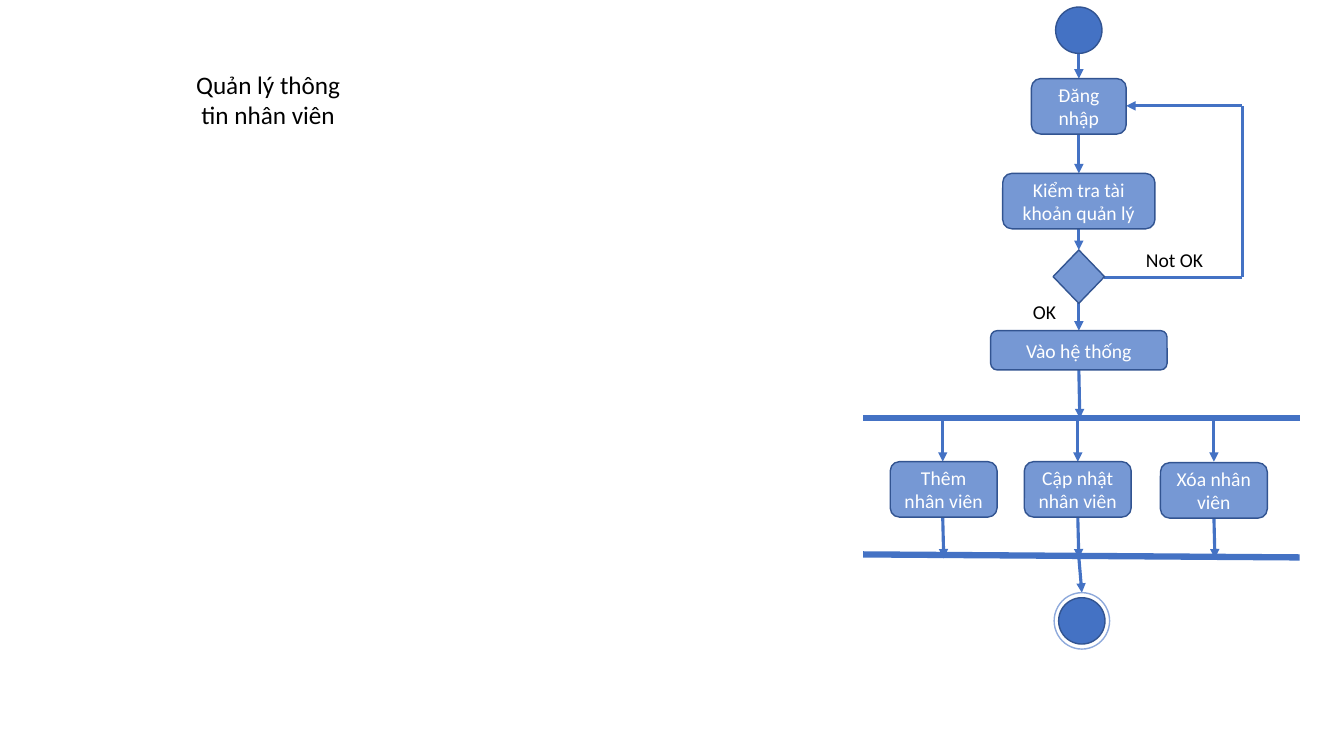
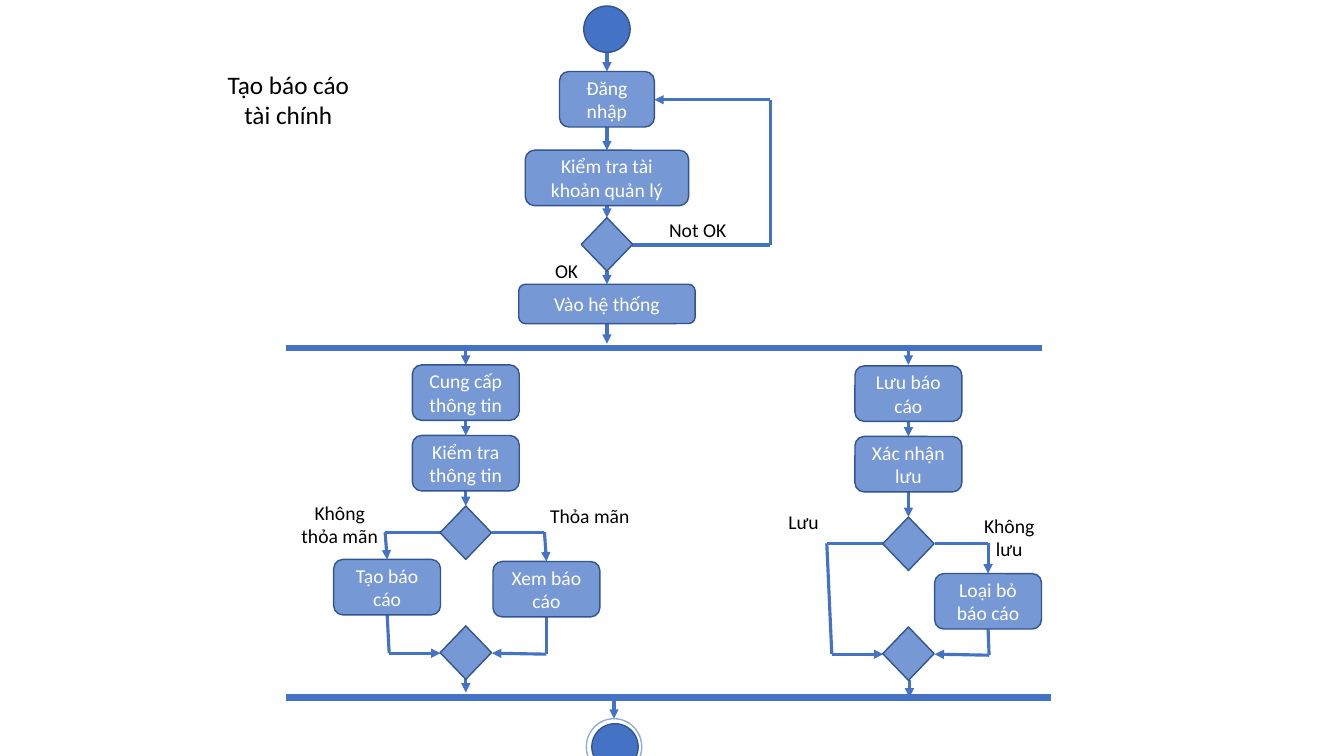
from itertools import pairwise

from lxml import etree
from pptx import Presentation
from pptx.dml.color import RGBColor
from pptx.enum.shapes import MSO_CONNECTOR, MSO_SHAPE
from pptx.enum.text import MSO_ANCHOR, MSO_AUTO_SIZE, PP_ALIGN
from pptx.oxml.ns import qn
from pptx.util import Inches, Pt

STRAIGHT = MSO_CONNECTOR.STRAIGHT
ROUNDED = MSO_SHAPE.ROUNDED_RECTANGLE
DECISION = MSO_SHAPE.FLOWCHART_DECISION
OVAL = MSO_SHAPE.OVAL
MIDDLE = MSO_ANCHOR.MIDDLE
CENTER = PP_ALIGN.CENTER
FIXED = MSO_AUTO_SIZE.NONE
TITLE_ONLY = 5

COLS, ROWS = 13.33, 7.5
THEME = {
    "font": "Calibri", "title": 18, "text": 14,
    "ink": RGBColor.from_string("000000"),
    "paper": RGBColor.from_string("FFFFFF"),
    "node": RGBColor.from_string("7698D4"),
    "accent": RGBColor.from_string("4472C4"),
    "edge": RGBColor.from_string("325491"),
    "halo": RGBColor.from_string("8FAADC"),
    "outline": 1, "flow": 2.25, "bar": 4.5,
}
STYLES = {
    "login": (ROUNDED, 0.94, 0.55, "node", "edge"),
    "check": (ROUNDED, 1.51, 0.55, "node", "edge"),
    "check wide": (ROUNDED, 1.62, 0.55, "node", "edge"),
    "enter": (ROUNDED, 1.75, 0.39, "node", "edge"),
    "task": (ROUNDED, 1.06, 0.55, "node", "edge"),
    "choice": (DECISION, 0.51, 0.53, "node", "edge"),
    "dot": (OVAL, 0.46, 0.46, "accent", "edge"),
    "ring": (OVAL, 0.55, 0.56, None, "halo"),
}

prs = Presentation()
prs.slide_width, prs.slide_height = Inches(COLS), Inches(ROWS)
col, row = prs.slide_width / COLS, prs.slide_height / ROWS


def write(sp, text, size, color):
    tf = sp.text_frame
    for name, value in {"word_wrap": True, "auto_size": FIXED, "vertical_anchor": MIDDLE}.items():
        setattr(tf, name, value)
    p = tf.paragraphs[0]
    p.alignment = CENTER
    r = p.add_run()
    r.text = text
    for name, value in {"name": THEME["font"], "size": Pt(THEME[size])}.items():
        setattr(r.font, name, value)
    r.font.color.rgb = THEME[color]


def link(s, points, weight="flow", arrow=True):
    for (x1, y1), (x2, y2) in pairwise(points):
        c = s.shapes.add_connector(
            STRAIGHT, round(x1 * col), round(y1 * row), round(x2 * col), round(y2 * row))
        c.line.color.rgb = THEME["accent"]
        c.line.width = Pt(THEME[weight])
        sppr = c._element.spPr
        if arrow and (x2, y2) == points[-1]:
            etree.SubElement(sppr.find(qn("a:ln")), qn("a:tailEnd"), type="triangle")
        etree.SubElement(sppr, qn("a:effectLst"))


slides = [
    {
        "title": ("Quản lý thông tin nhân viên", 1.83, 1.66),
        "chains": [
            (10.7, [(0.07, "dot", ""), (0.78, "login", "Đăng nhập"),
                    (1.72, "check", "Kiểm tra tài khoản quản lý"),
                    (2.48, "choice", ""), (3.28, "enter", "Vào hệ thống")]),
            (9.36, [(4.58, "task", "Thêm nhân viên")]),
            (10.69, [(4.58, "task", "Cập nhật nhân viên")]),
            (12.04, [(4.59, "task", "Xóa nhân viên")]),
            (10.73, [(5.88, "ring", "")]),
            (10.73, [(5.93, "dot", "")]),
        ],
        "bars": [[(8.56, 4.15), (12.89, 4.15)], [(8.56, 5.5), (12.89, 5.53)]],
        "arrows": [
            [(10.95, 2.75), (12.32, 2.75), (12.32, 1.05), (11.17, 1.05)],
            [(10.7, 3.67), (10.71, 4.15)],
            *[[(x, 4.18), (x, 4.58)] for x in (9.35, 10.69, 12.04)],
            *[[(x, 5.13), (x + 0.01, 5.54)] for x in (9.35, 10.69, 12.04)],
            [(10.7, 5.53), (10.73, 5.88)],
        ],
        "lines": [],
        "labels": [(11.65, 2.58, 0.81, "Not OK"), (10.36, 3.09, 0.84, "OK")],
    },
    {
        "title": ("Tạo báo cáo tài chính", 2.08, 1.56),
        "chains": [
            (6.02, [(0.06, "dot", ""), (0.71, "login", "Đăng nhập"),
                    (1.49, "check wide", "Kiểm tra tài khoản quản lý"),
                    (2.16, "choice", ""), (2.82, "enter", "Vào hệ thống")]),
            (4.62, [(3.62, "task", "Cung cấp thông tin"),
                    (4.32, "task", "Kiểm tra thông tin"), (5.02, "choice", "")]),
            (9.01, [(3.63, "task", "Lưu báo cáo"),
                    (4.33, "task", "Xác nhận lưu"), (5.13, "choice", "")]),
            (3.84, [(5.55, "task", "Tạo báo cáo")]),
            (5.42, [(5.57, "task", "Xem báo cáo")]),
            (9.8, [(5.69, "task", "Loại bỏ báo cáo")]),
            (4.62, [(6.21, "choice", "")]),
            (9.01, [(6.22, "choice", "")]),
            (6.09, [(7.13, "ring", "")]),
            (6.1, [(7.18, "dot", "")]),
        ],
        "bars": [[(2.84, 3.45), (10.33, 3.45)], [(2.84, 6.92), (10.42, 6.92)]],
        "arrows": [
            [(6.27, 2.43), (7.64, 2.43), (7.64, 0.99), (6.49, 0.99)],
            [(6.02, 3.21), (6.02, 3.41)],
            *[[(x, 3.45), (x, 3.62)] for x in (4.62, 9.01)],
            [(4.37, 5.28), (3.82, 5.28), (3.84, 5.55)],
            [(4.88, 5.28), (5.4, 5.28), (5.42, 5.57)],
            [(3.84, 6.1), (3.86, 6.48), (4.37, 6.48)],
            [(5.42, 6.12), (5.42, 6.49), (4.88, 6.48)],
            [(8.76, 5.39), (8.2, 5.39), (8.25, 6.49), (8.76, 6.49)],
            [(9.27, 5.39), (9.8, 5.39), (9.8, 5.69)],
            [(9.8, 6.24), (9.81, 6.5), (9.27, 6.49)],
            [(4.62, 6.74), (4.62, 6.87)],
            [(9.02, 6.75), (9.02, 6.92)],
            [(6.09, 6.92), (6.09, 7.13)],
        ],
        "labels": [
            (6.92, 2.28, 0.81, "Not OK"), (5.62, 2.69, 0.58, "OK"),
            (3.37, 5.2, 1.06, "Không thỏa mãn"), (5.85, 5.12, 1.03, "Thỏa mãn"),
            (7.97, 5.18, 0.84, "Lưu"), (10.01, 5.33, 0.84, "Không lưu"),
        ],
    },
]

for flow in slides:
    s = prs.slides.add_slide(prs.slide_layouts[TITLE_ONLY])
    text, left, width = flow["title"]
    title = s.shapes.title
    for name, value in {"left": left * col, "top": 0.75 * row,
                        "width": width * col, "height": 0.48 * row}.items():
        setattr(title, name, round(value))
    write(title, text, "title", "ink")

    for points in flow["bars"]:
        link(s, points, "bar", arrow=False)
    for points in flow["arrows"]:
        link(s, points)

    for x, chain in flow["chains"]:
        for (top, style, _), (below, _, _) in pairwise(chain):
            link(s, [(x, top + STYLES[style][2]), (x, below)])
        for top, style, text in chain:
            preset, w, h, fill, edge = STYLES[style]
            sp = s.shapes.add_shape(
                preset, round((x - w / 2) * col), round(top * row), round(w * col), round(h * row))
            sp.shadow.inherit = False
            sp.line.color.rgb = THEME[edge]
            sp.line.width = Pt(THEME["outline"])
            if fill:
                sp.fill.solid()
                sp.fill.fore_color.rgb = THEME[fill]
            else:
                sp.fill.background()
            if text:
                write(sp, text, "text", "paper")

    for x, y, w, text in flow["labels"]:
        label = s.shapes.add_textbox(
            round((x - w / 2) * col), round((y - 0.24) * row), round(w * col), round(0.48 * row))
        write(label, text, "text", "ink")

prs.save("out.pptx")
